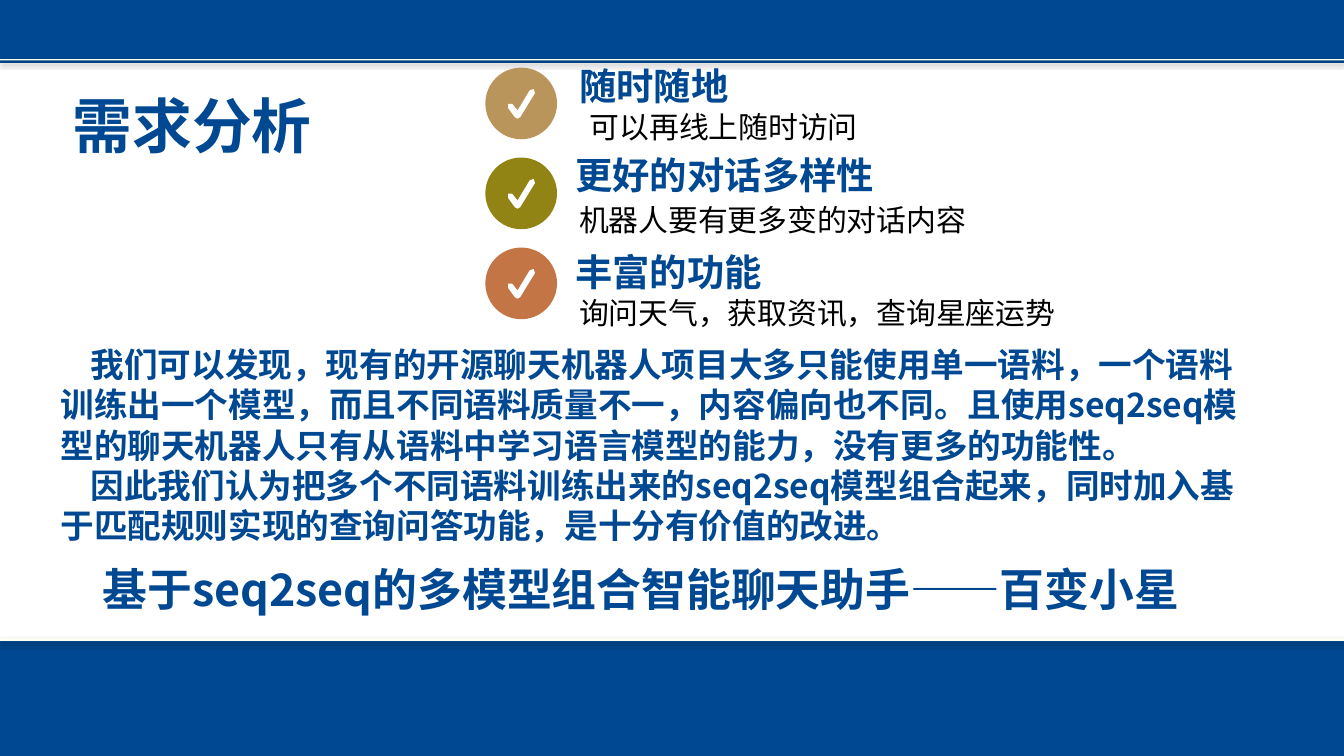
import pptx
import pptx.util
import pptx.dml.color
import pptx.enum.shapes
import pptx.enum.text
import pptx.oxml
import pptx.oxml.ns
from lxml import etree

Pt = pptx.util.Pt
RGBColor = pptx.dml.color.RGBColor
ANCHOR = pptx.enum.text.MSO_ANCHOR
AUTO_SIZE = pptx.enum.text.MSO_AUTO_SIZE
SHAPE = pptx.enum.shapes.MSO_SHAPE
qn = pptx.oxml.ns.qn

NAVY = RGBColor(0x00, 0x49, 0x92)
DEEP_BLUE = RGBColor(0x00, 0x00, 0x99)
IVORY = RGBColor(0xFF, 0xFF, 0xF4)
WHITE = RGBColor(0xFF, 0xFF, 0xFF)
BLACK = RGBColor(0x00, 0x00, 0x00)
TAN = RGBColor(0xB9, 0x94, 0x5B)
OLIVE = RGBColor(0x91, 0x84, 0x15)
RUST = RGBColor(0xC4, 0x75, 0x46)

FONT = "Noto Sans CJK SC"
SLIDE_WIDTH, SLIDE_HEIGHT = 720, 405
BADGE_LEFT, BADGE_TOP, BADGE_SIZE, BADGE_STEP = 260, 36.2, 38.4, 48.2
TICK = [(17.3, 27.4), (15.8, 26.6), (12.2, 21.6), (12.2, 19.4), (14.4, 19.4),
        (17.3, 23), (23.8, 12.2), (25.9, 11.5), (26.6, 13.7), (18.7, 26.6)]

BARS = [
    (403.2, 2.9, DEEP_BLUE, BLACK),
    (343.4, 61.6, NAVY, BLACK),
    (0, 33.8, NAVY, WHITE),
    (342, 1.4, IVORY, BLACK),
    (31.7, 0.7, IVORY, BLACK),
]

NEEDS = [
    (TAN, "随时随地", (305.3, 36, 214.6, 24.5),
     "可以再线上随时访问", (311, 43.9, 183.6, 36), 1.6),
    (OLIVE, "更好的对话多样性", (303.1, 84.2, 214.6, 24.5),
     "机器人要有更多变的对话内容", (305.3, 95.8, 305.3, 36.7), 1.5),
    (RUST, "丰富的功能", (303.1, 136.1, 214.6, 24.5),
     "询问天气，获取资讯，查询星座运势", (305.3, 151.2, 339.1, 58.3), 1.2),
]

ANALYSIS = [
    "我们可以发现，现有的开源聊天机器人项目大多只能使用单一语料，一个语料训练出一个模型，"
    "而且不同语料质量不一，内容偏向也不同。且使用seq2seq模型的聊天机器人只有从语料中"
    "学习语言模型的能力，没有更多的功能性。",
    "因此我们认为把多个不同语料训练出来的seq2seq模型组合起来，同时加入基于匹配规则实现的"
    "查询问答功能，是十分有价值的改进。",
]
PROJECT = "基于seq2seq的多模型组合智能聊天助手——百变小星"

BOX_INSETS = {"margin_left": Pt(7.2), "margin_right": Pt(7.2),
              "margin_top": Pt(3.6), "margin_bottom": Pt(3.6)}
NEED_INSETS = {"margin_left": Pt(5), "margin_right": Pt(5),
               "margin_top": Pt(2.9), "margin_bottom": Pt(2.9)}
BOX_FRAME = {**BOX_INSETS, "word_wrap": True, "vertical_anchor": ANCHOR.TOP,
             "auto_size": AUTO_SIZE.SHAPE_TO_FIT_TEXT}
HEADING_FRAME = {**NEED_INSETS, "word_wrap": False, "vertical_anchor": ANCHOR.BOTTOM}
DETAIL_FRAME = {**NEED_INSETS, "word_wrap": True, "vertical_anchor": ANCHOR.TOP}


def apply(target, values):
    for key, value in values.items():
        setattr(target, key, value)


def place(shape, box):
    apply(shape, dict(zip(("left", "top", "width", "height"), map(Pt, box))))


def write(shape, lines, size, frame_format, color=NAVY, bold=True, spacing=1.0, indent=0):
    frame = shape.text_frame
    apply(frame, frame_format)
    for index, line in enumerate(lines):
        paragraph = frame.paragraphs[0] if index == 0 else frame.add_paragraph()
        properties = paragraph._p.get_or_add_pPr()
        properties.set("marL", "0")
        properties.set("indent", str(Pt(indent)))
        etree.SubElement(properties, qn("a:buNone"))
        apply(paragraph, {"alignment": pptx.enum.text.PP_ALIGN.LEFT,
                          "line_spacing": spacing, "space_before": Pt(0)})
        run = paragraph.add_run()
        run.text = line
        apply(run.font, {"size": Pt(size), "bold": bold, "name": FONT})
        run.font.color.rgb = color
        etree.SubElement(run.font._element, qn("a:ea")).set("typeface", FONT)


def add_text(slide, box, *content, **style):
    write(slide.shapes.add_textbox(*map(Pt, box)), *content, **style)


def paint(shape, color):
    shape.shadow.inherit = False
    shape.fill.solid()
    shape.fill.fore_color.rgb = color
    shape.line.fill.background()


def add_bar(slide, top, height, color, shadow_color):
    bar = slide.shapes.add_shape(SHAPE.RECTANGLE, *map(Pt, (0, top, SLIDE_WIDTH, height)))
    paint(bar, color)
    effects = bar._element.spPr.find(qn("a:effectLst"))
    shadow = etree.SubElement(effects, qn("a:outerShdw"), blurRad=str(Pt(3.1)),
                              dist=str(Pt(1.6)), dir="5400000", rotWithShape="0")
    tone = etree.SubElement(shadow, qn("a:srgbClr"), val=str(shadow_color))
    etree.SubElement(tone, qn("a:alpha"), val="38000")


def add_badge(slide, top, color):
    disc = slide.shapes.add_shape(
        SHAPE.OVAL, *map(Pt, (BADGE_LEFT, top, BADGE_SIZE, BADGE_SIZE)))
    paint(disc, color)
    corners = [(Pt(BADGE_LEFT + x), Pt(top + y)) for x, y in TICK]
    outline = slide.shapes.build_freeform(*corners[0])
    outline.add_line_segments(corners[1:], close=True)
    paint(outline.convert_to_shape(), WHITE)


def main():
    deck = pptx.Presentation()
    apply(deck, {"slide_width": Pt(SLIDE_WIDTH), "slide_height": Pt(SLIDE_HEIGHT)})
    slide = deck.slides.add_slide(deck.slide_layouts[1])
    title, analysis = slide.placeholders

    for bar in BARS:
        add_bar(slide, *bar)

    place(title, (31.7, 43.9, 215.3, 46.1))
    write(title, ["需求分析"], 32, BOX_FRAME)
    place(analysis, (25.2, 180.7, 652.3, 115.9))
    write(analysis, ANALYSIS, 18, BOX_FRAME, indent=16.2)
    add_text(slide, (31.7, 297.4, 652.3, 36), [PROJECT], 24, BOX_FRAME, indent=16.2)

    for row, (color, heading, heading_box, detail, detail_box, spacing) in enumerate(NEEDS):
        add_badge(slide, BADGE_TOP + row * BADGE_STEP, color)
        add_text(slide, heading_box, [heading], 20, HEADING_FRAME)
        add_text(slide, detail_box, [detail], 16, DETAIL_FRAME,
                 color=BLACK, bold=False, spacing=spacing)

    deck.save("out.pptx")


if __name__ == "__main__":
    main()
